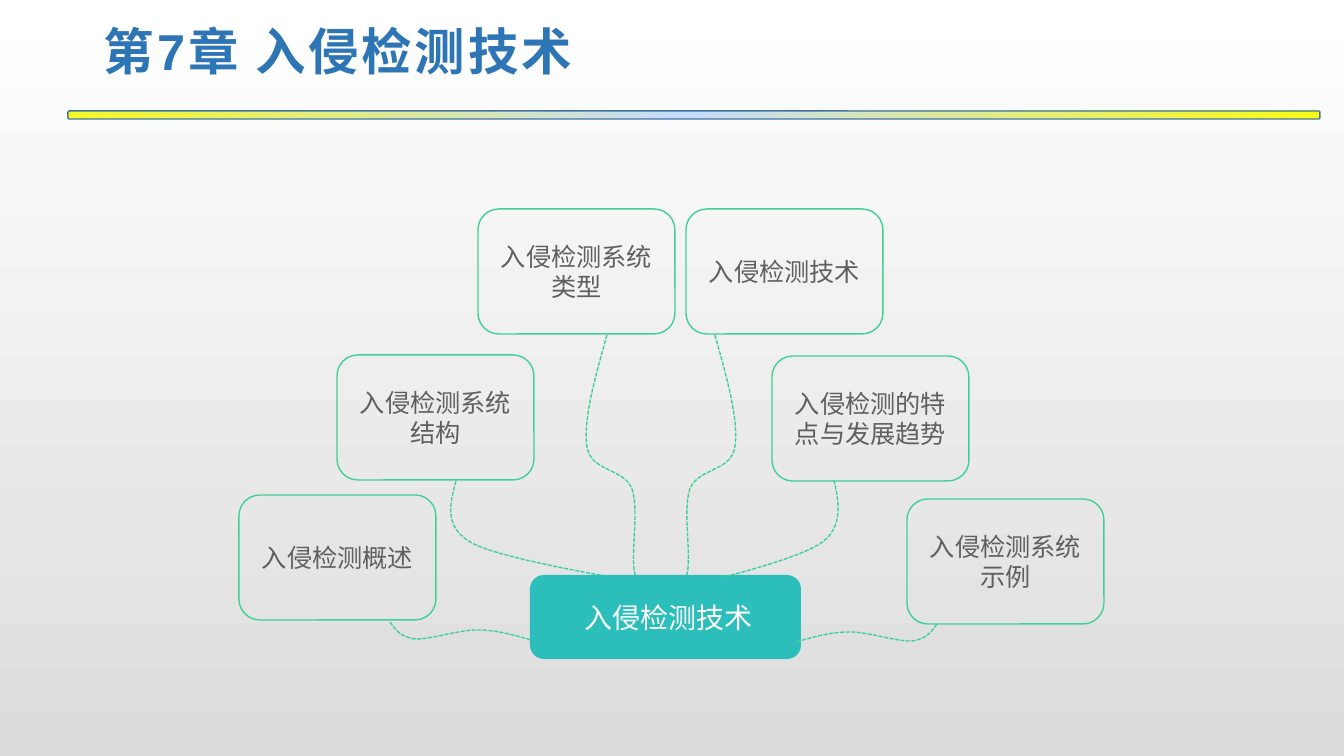
from lxml import etree
from pptx import Presentation
from pptx.dml.color import RGBColor
from pptx.enum.dml import MSO_LINE_DASH_STYLE as DASH
from pptx.enum.shapes import MSO_SHAPE as SHAPE
from pptx.enum.text import MSO_ANCHOR as ANCHOR, MSO_AUTO_SIZE as AUTO, PP_ALIGN as ALIGN
from pptx.oxml import parse_xml
from pptx.oxml.ns import nsdecls, qn
from pptx.util import Emu, Pt

SLIDE_W, SLIDE_H = 1344, 756
SCALE = 12192000 / SLIDE_W
BOX_W, BOX_H = 197, 125

COLORS = {
    "bg_top": "FFFFFF", "bg_bottom": "DCDCDC", "title": "2E75B6",
    "green": "40D096", "teal": "2CBEBB", "text": "5F5F5F", "white": "FFFFFF",
    "bar_line": "43739E", "bar_start": "FBFB11", "bar_mid": "C6DCFF",
    "bar_end": "F7F923",
}

TOPICS = [
    ("入侵检测概述", 239, 495),
    ("入侵检测系统结构", 337, 355),
    ("入侵检测系统类型", 478, 209),
    ("入侵检测技术", 686, 209),
    ("入侵检测的特点与发展趋势", 772, 356),
    ("入侵检测系统示例", 907, 499),
]

# Branches: a start point, then two controls and an end for each segment
STRUCTURE = [(456, 481), (450, 504), (443, 527), (472, 543),
             (500, 559), (628, 580), (628, 580)]
TYPES = [(607, 335), (595, 378), (583, 420), (587, 447), (591, 472),
         (624, 468), (632, 489), (640, 511), (629, 562), (636, 577)]
TRENDS = [(834, 480), (839, 502), (843, 525), (824, 541),
          (805, 557), (724, 577), (724, 577)]
EXAMPLE = [(937, 624), (932, 631), (927, 639), (912, 641), (898, 642),
           (869, 632), (850, 632), (831, 632), (813, 637), (796, 642)]


def px(n):
    return Emu(round(n * SCALE))


def rgb(name):
    return RGBColor.from_string(COLORS[name])


def mirror(points, x_sum, dy=0):
    return [(x_sum - x, y + dy) for x, y in points]


def bezier(a, b, c, d, t):
    u = 1 - t
    return u**3 * a + 3 * u * u * t * b + 3 * u * t * t * c + t**3 * d


def curve_range(values):
    """Lowest and highest value that a chain of cubic segments reaches."""
    reached = [bezier(*values[i:i + 4], step / 20)
               for i in range(0, len(values) - 1, 3) for step in range(21)]
    return min(reached), max(reached)


def set_background(slide):
    fill = slide.background.fill
    fill.gradient()
    fill.gradient_angle = 270
    for stop, name in zip(fill.gradient_stops, ("bg_top", "bg_bottom")):
        stop.color.rgb = rgb(name)


def format_text(tf, text, font, size, color, align=ALIGN.CENTER):
    tf.word_wrap = True
    tf.vertical_anchor = ANCHOR.MIDDLE
    p = tf.paragraphs[0]
    p.text = text
    p.alignment = align
    r = p.runs[0]
    r.font.name, r.font.size = font, Pt(size)
    r.font.color.rgb = rgb(color)
    return r


def add_title(slide, text):
    s = slide.shapes.title
    s.left, s.top, s.width, s.height = px(93), px(6), px(1159), px(88)
    tf = s.text_frame
    tf.auto_size = AUTO.NONE
    tf.margin_left, tf.margin_right = px(11), px(8)
    tf.margin_top = tf.margin_bottom = px(4)
    r = format_text(tf, text, "Arial", 36, "title", ALIGN.LEFT)
    r.font.bold = True
    r.font._element.set("spc", "200")


def add_box(slide, x, y, w, h, fill=None, line=None):
    s = slide.shapes.add_shape(SHAPE.ROUNDED_RECTANGLE, px(x), px(y), px(w), px(h))
    s.shadow.inherit = False
    if fill:
        s.fill.solid()
        s.fill.fore_color.rgb = rgb(fill)
    else:
        s.fill.background()
    if line:
        s.line.color.rgb = rgb(line)
        s.line.width = Pt(1)
    else:
        s.line.fill.background()
    return s


def add_bar(slide):
    s = add_box(slide, 68, 111, 1252, 8, line="bar_line")
    grad = parse_xml(f'<a:gradFill {nsdecls("a")} rotWithShape="1"><a:gsLst/></a:gradFill>')
    stops = grad.find(qn("a:gsLst"))
    for pos, name in ((0, "bar_start"), (51, "bar_mid"), (100, "bar_end")):
        gs = etree.SubElement(stops, qn("a:gs"), pos=str(pos * 1000))
        etree.SubElement(gs, qn("a:srgbClr"), val=COLORS[name])
    shade = etree.SubElement(grad, qn("a:path"))
    shade.set("path", "circle")
    etree.SubElement(shade, qn("a:fillToRect"), l="100000", t="100000")
    sp_pr = s._element.spPr
    sp_pr.replace(sp_pr.find(qn("a:noFill")), grad)


def add_branch(slide, points):
    left, right = curve_range([x for x, y in points])
    top, bottom = curve_range([y for x, y in points])
    emu = [(px(x), px(y)) for x, y in points]
    builder = slide.shapes.build_freeform(*emu[0])
    builder.add_line_segments(emu[3::3], close=False)
    s = builder.convert_to_shape()
    s.left, s.top = px(left), px(top)
    s.width, s.height = px(right - left), px(bottom - top)

    # Turn the straight segments into curves
    outline = next(s._element.iter(qn("a:path")))
    outline.set("w", str(s.width))
    outline.set("h", str(s.height))
    for step in list(outline):
        outline.remove(step)
    local = [(str(x - s.left), str(y - s.top)) for x, y in emu]
    groups = [("a:moveTo", local[:1])]
    groups += [("a:cubicBezTo", local[i:i + 3]) for i in range(1, len(local), 3)]
    for tag, group in groups:
        step = etree.SubElement(outline, qn(tag))
        for x, y in group:
            etree.SubElement(step, qn("a:pt"), x=x, y=y)

    s.shadow.inherit = False
    s.fill.background()
    s.line.color.rgb = rgb("green")
    s.line.width = Pt(1)
    s.line.dash_style = DASH.SQUARE_DOT


def main():
    prs = Presentation()
    prs.slide_width, prs.slide_height = px(SLIDE_W), px(SLIDE_H)
    slide = prs.slides.add_slide(prs.slide_layouts[5])
    set_background(slide)

    # Heading
    add_title(slide, "第7章 入侵检测技术")
    add_bar(slide)

    # Central topic, with one branch running behind it
    add_branch(slide, STRUCTURE)
    s = add_box(slide, 530, 575, 271, 84, fill="teal")
    format_text(s.text_frame, " 入侵检测技术", "Calibri", 20, "white")

    # Topics and their branches
    for text, x, y in TOPICS:
        s = add_box(slide, x, y, BOX_W, BOX_H, line="green")
        format_text(s.text_frame, text, "Arial", 18, "text")
    for points in (TYPES, mirror(TYPES, 1322), TRENDS,
                   EXAMPLE, mirror(EXAMPLE, 1327, -2)):
        add_branch(slide, points)

    prs.save("out.pptx")


if __name__ == "__main__":
    main()
